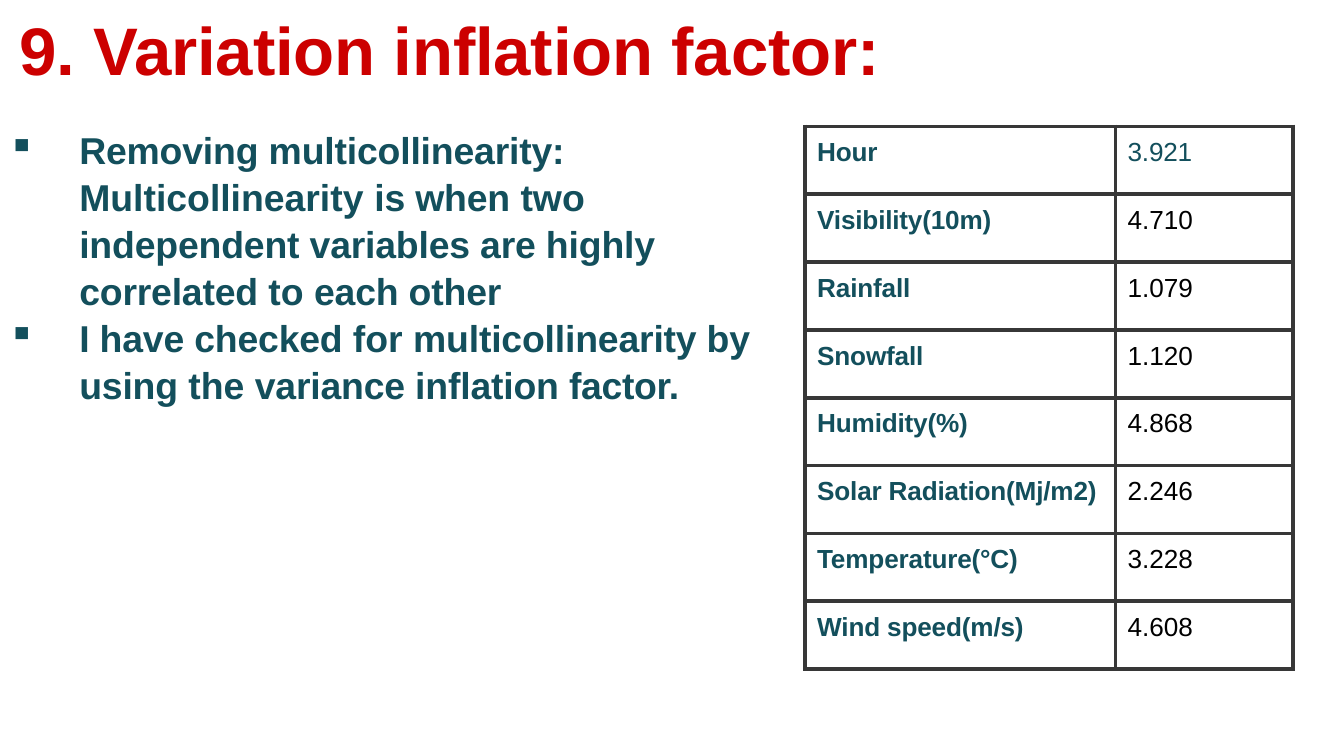
"""Build the variance inflation factor slide."""
from lxml.etree import SubElement
from pptx import Presentation
from pptx.dml.color import RGBColor as Color
from pptx.enum.text import MSO_ANCHOR as Anchor, MSO_AUTO_SIZE as AutoSize, PP_ALIGN as Align
from pptx.oxml.ns import qn
from pptx.util import Pt

COLORS = {"title": "CC0000", "label": "134F5C", "value": "000000", "border": "373737"}
BULLETS = [
    [("Removing multicollinearity: ", -0.1), ("Multicollinearity ", 0), ("is when ", -0.1),
     ("two ", 0), ("independent variables are highly  correlated ", -0.1), ("to ", 0),
     ("each other", -0.1)],
    [("I have checked ", -0.1), ("for ", 0), ("multicollinearity by  using ", -0.1),
     ("the ", 0), ("variance inflation ", -0.1), ("factor.", -0.2)],
]
FACTORS = [
    ("Hour", "3.921"), ("Visibility(10m)", "4.710"), ("Rainfall", "1.079"),
    ("Snowfall", "1.120"), ("Humidity(%)", "4.868"), ("Solar Radiation(Mj/m2)", "2.246"),
    ("Temperature(°C)", "3.228"), ("Wind speed(m/s)", "4.608"),
]


class SlideWriter:
    """Holds the style and the current slide."""

    font = "Arial"
    line_spacing = 1.05

    def __init__(self, slide):
        self.slide = slide

    def add_span(self, para, text, size, color, bold=True, spacing=0):
        span = para.add_run()
        span.text = text
        span.font.name = self.font
        span.font.size = Pt(size)
        span.font.bold = bold
        span.font.color.rgb = Color.from_string(COLORS[color])
        span.font._element.set("spc", str(round(spacing * 100)))

    def set_indent(self, para, left, first=0):
        properties = para._p.get_or_add_pPr()
        properties.set("marL", str(Pt(left)))
        properties.set("indent", str(Pt(first)))
        return properties

    def prepare_frame(self, frame):
        frame.margin_left = frame.margin_right = frame.margin_bottom = 0
        frame.margin_top = Pt(0.9)
        frame.word_wrap = True
        frame.vertical_anchor = Anchor.TOP
        frame.auto_size = AutoSize.SHAPE_TO_FIT_TEXT

    def add_title(self, text, left, top, width, height):
        title = self.slide.shapes.title
        title.left, title.top, title.width, title.height = map(Pt, (left, top, width, height))
        self.prepare_frame(title.text_frame)
        para = title.text_frame.paragraphs[0]
        para.alignment = Align.LEFT
        para.space_before = Pt(1)
        para.line_spacing = self.line_spacing
        self.set_indent(para, 0.9)
        self.add_span(para, text, 36, "title", spacing=-0.1)

    def add_bullets(self, items, left, top, width, height):
        box = self.slide.shapes.add_textbox(*map(Pt, (left, top, width, height)))
        frame = box.text_frame
        self.prepare_frame(frame)
        for index, item in enumerate(items):
            para = frame.add_paragraph() if index else frame.paragraphs[0]
            para.space_before = Pt(0 if index else 1)
            para.line_spacing = self.line_spacing
            properties = self.set_indent(para, 38.9, -38.2)
            SubElement(properties, qn("a:buChar"), char="▪")
            for text, spacing in item:
                self.add_span(para, text, 20, "label", spacing=spacing)

    def add_borders(self, cell, width):
        properties = cell._tc.get_or_add_tcPr()
        for side in ("lnL", "lnR", "lnT", "lnB"):
            line = SubElement(properties, qn(f"a:{side}"), w=str(Pt(width)))
            fill = SubElement(line, qn("a:solidFill"))
            SubElement(fill, qn("a:srgbClr"), val=COLORS["border"])

    def fill_cell(self, cell, text, color, bold, spacing):
        self.add_borders(cell, 2.25)
        cell.fill.background()
        cell.margin_left = cell.margin_right = cell.margin_bottom = 0
        cell.margin_top = Pt(6.2)
        para = cell.text_frame.paragraphs[0]
        para.space_before = Pt(6.2)
        self.set_indent(para, 6.5)
        self.add_span(para, text, 14, color, bold, spacing)

    def add_table(self, rows, left, top, widths, row_height):
        size = (sum(widths), row_height * len(rows))
        table = self.slide.shapes.add_table(
            len(rows), len(widths), *map(Pt, (left, top, *size))).table
        table.first_row = table.horz_banding = False
        for column, width in zip(table.columns, widths):
            column.width = Pt(width)
        for index, (label, value) in enumerate(rows):
            table.rows[index].height = Pt(row_height)
            self.fill_cell(table.cell(index, 0), label, "label", True, -0.1)
            color, spacing = ("value", 0) if index else ("label", -0.1)
            self.fill_cell(table.cell(index, 1), value, color, False, spacing)


def main():
    deck = Presentation()
    deck.slide_width, deck.slide_height = Pt(720), Pt(405)
    page = SlideWriter(deck.slides.add_slide(deck.slide_layouts[5]))
    page.add_title("9. Variation inflation factor:", 9.4, 1.4, 529.2, 45.4)
    page.add_bullets(BULLETS, 3.6, 66.2, 413.3, 170.6)
    page.add_table(FACTORS, 431.3, 67.7, (166.3, 95), 36.35)
    deck.save("out.pptx")


if __name__ == "__main__":
    main()
